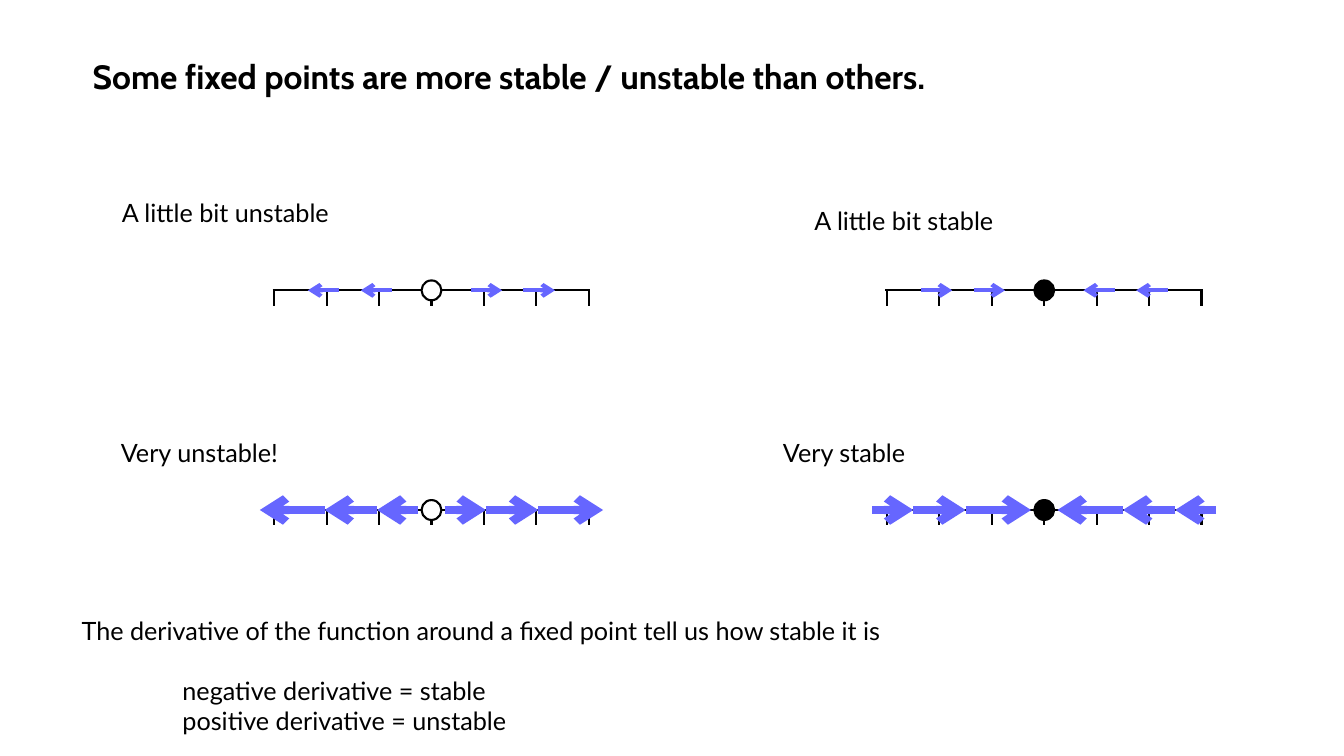
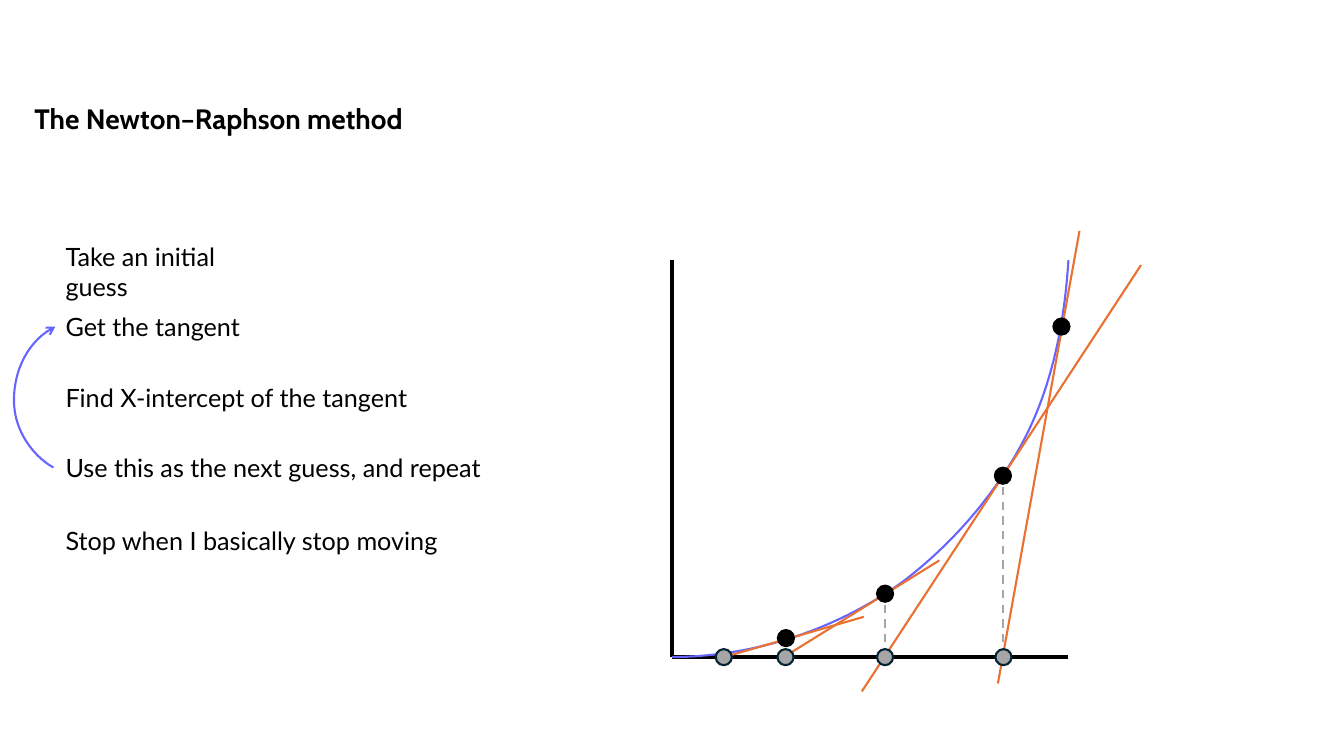
from lxml import etree
from pptx import Presentation
from pptx.dml.color import RGBColor
from pptx.enum.dml import MSO_LINE
from pptx.enum.shapes import MSO_CONNECTOR, MSO_SHAPE
from pptx.enum.text import MSO_ANCHOR, MSO_AUTO_SIZE, PP_ALIGN
from pptx.oxml.ns import qn
from pptx.util import Pt

STRAIGHT = MSO_CONNECTOR.STRAIGHT
OVAL = MSO_SHAPE.OVAL
DASH = MSO_LINE.DASH
TOP, BOTTOM = MSO_ANCHOR.TOP, MSO_ANCHOR.BOTTOM
LEFT = PP_ALIGN.LEFT
NO_AUTOFIT = MSO_AUTO_SIZE.NONE

HEX = {
    "black": "000000",
    "white": "FFFFFF",
    "blue": "6666FF",
    "orange": "E97132",
    "gray": "A6A6A6",
    "navy": "042433",
}
COLORS = {name: RGBColor.from_string(value) for name, value in HEX.items()}
TITLE_FONT, BODY_FONT, BODY_SIZE, LINE_HEIGHT = "Cabin", "Lato", 18, 21.6


def add_line(slide, start, end, color, width=1.5, dash=None, arrow=False):
    line = slide.shapes.add_connector(STRAIGHT, *(Pt(value) for value in (*start, *end)))
    line.line.color.rgb = COLORS[color]
    line.line.width = Pt(width)
    if dash:
        line.line.dash_style = dash
    properties = line.element.spPr
    if arrow:
        etree.SubElement(properties.find(qn("a:ln")), qn("a:tailEnd"), type="arrow")
    etree.SubElement(properties, qn("a:effectLst"))


def add_dot(slide, center, diameter, fill, outline):
    x, y = center
    dot = slide.shapes.add_shape(
        OVAL, Pt(x - diameter / 2), Pt(y - diameter / 2), Pt(diameter), Pt(diameter)
    )
    dot.shadow.inherit = False
    dot.fill.solid()
    dot.fill.fore_color.rgb = COLORS[fill]
    dot.line.color.rgb = COLORS[outline]
    dot.line.width = Pt(1.5)


presentation = Presentation()
presentation.slide_width = Pt(960)
presentation.slide_height = Pt(540)

# Each body row: text, indent, space before
CONTENT = [
    {
        "title": "Some fixed points are more stable / unstable than others.",
        "title_box": (66.2, 45.4, 828, 50.4),
        "title_size": 24,
        "title_spacing": 0.8,
        "title_anchor": TOP,
        "body_box": (51.1, 435.6, 821.5, 100),
        "body": [
            ("The derivative of the function around a fixed point tell us how stable it is", 0, 0),
            ("negative derivative = stable", 72, LINE_HEIGHT),
            ("positive derivative = unstable", 72, 0),
        ],
    },
    {
        "title": "The Newton–Raphson method",
        "title_box": (24.5, 13, 875.5, 83.5),
        "title_size": 20,
        "title_spacing": Pt(23),
        "title_anchor": BOTTOM,
        "body_box": (39.6, 168.5, 344, 240),
        "body": [
            ("Take an initial\vguess", 0, 0),
            ("Get the tangent", 0, 7.2),
            ("Find X-intercept of the tangent", 0, 28.8),
            ("Use this as the next guess, and repeat", 0, 28.8),
            ("Stop when I basically stop moving", 0, 30),
        ],
    },
]

slides = []
for content in CONTENT:
    slide = presentation.slides.add_slide(presentation.slide_layouts[1])
    slides.append(slide)
    title, body = slide.shapes.title, slide.placeholders[1]
    for shape, box in ((title, content["title_box"]), (body, content["body_box"])):
        shape.left, shape.top, shape.width, shape.height = (Pt(value) for value in box)
        shape.text_frame.auto_size = NO_AUTOFIT
        shape.text_frame.word_wrap = True

    frame = title.text_frame
    frame.margin_left = frame.margin_top = frame.margin_right = frame.margin_bottom = 0
    frame.vertical_anchor = content["title_anchor"]
    frame.text = content["title"]
    paragraph = frame.paragraphs[0]
    paragraph.alignment = LEFT
    paragraph.line_spacing = content["title_spacing"]
    paragraph.font.name = TITLE_FONT
    paragraph.font.size = Pt(content["title_size"])
    paragraph.font.bold = True
    paragraph.font.color.rgb = COLORS["black"]

    frame = body.text_frame
    frame.text = "\n".join(text for text, _, _ in content["body"])
    for paragraph, (_, indent, space) in zip(frame.paragraphs, content["body"]):
        paragraph.space_before = Pt(space)
        properties = paragraph._p.get_or_add_pPr()
        properties.set("marL", str(Pt(indent)))
        properties.set("indent", "0")
        etree.SubElement(properties, qn("a:buNone"))
        paragraph.font.name = BODY_FONT
        paragraph.font.size = Pt(BODY_SIZE)
        paragraph.font.color.rgb = COLORS["black"]

stability_slide, newton_slide = slides

TICK_GAP, TICK_LENGTH, AXIS_HALF = 37.44, 11, 113.4
UNSTABLE_X, STABLE_X = 308.2, 745.9
MILD_Y, STRONG_Y = 207.4, 364.3
MILD_SPANS = [(28, 50.5), (65.7, 88.3)]
STRONG_SPANS = [(9.4, 38.9), (38.9, 76.3), (76.3, 122.6)]
STRONG_INWARD_SPANS = [(56.2, 9.4), (93.5, 56.2), (122.8, 93.5)]
PANELS = [
    ("A little bit unstable", (79.9, 137.5), (UNSTABLE_X, MILD_Y), "white", MILD_SPANS, 3),
    ("Very unstable!", (79.2, 308.9), (UNSTABLE_X, STRONG_Y), "white", STRONG_SPANS, 6),
    ("A little bit stable", (574.6, 143.3), (STABLE_X, MILD_Y), "black",
     [(end, start) for start, end in MILD_SPANS], 3),
    ("Very stable", (552.2, 308.9), (STABLE_X, STRONG_Y), "black", STRONG_INWARD_SPANS, 6),
]
for text, (left, top), (x, y), fill, spans, width in PANELS:
    label = stability_slide.shapes.add_textbox(Pt(left), Pt(top), Pt(171.4), Pt(28.8))
    label.text_frame.word_wrap = True
    label.text_frame.text = text
    paragraph = label.text_frame.paragraphs[0]
    paragraph.font.name = BODY_FONT
    paragraph.font.size = Pt(BODY_SIZE)
    paragraph.font.color.rgb = COLORS["black"]

    add_line(stability_slide, (x - AXIS_HALF, y), (x + AXIS_HALF, y), "black")
    for step in range(-3, 4):
        tick_x = x + step * TICK_GAP
        add_line(stability_slide, (tick_x, y), (tick_x, y + TICK_LENGTH), "black")
    for side in (-1, 1):
        for start, end in spans:
            add_line(stability_slide, (x + side * start, y), (x + side * end, y),
                     "blue", width, arrow=True)
    add_dot(stability_slide, (x, y), 14.2, fill, "black")

ORIGIN_X, AXIS_Y = 480.2, 469.4
PLOT_TOP, PLOT_RIGHT = 185.8, 763.2
add_line(newton_slide, (ORIGIN_X, PLOT_TOP), (ORIGIN_X, AXIS_Y), "black", 3)
add_line(newton_slide, (PLOT_RIGHT, AXIS_Y), (ORIGIN_X, AXIS_Y), "black", 3)

FUNCTION_CURVE = [
    (ORIGIN_X, AXIS_Y),
    (549.4, 468.7), (605.5, 443.5), (643, 416.9),
    (679.7, 389.5), (710.6, 353.5), (730.8, 315.4),
    (751, 277.2), (760.3, 232.6), (PLOT_RIGHT, PLOT_TOP),
]
REPEAT_ARROW = [
    (38.2, 334),
    (24, 326), (10, 308), (10, 286),
    (10, 262), (22, 242), (39.6, 233.3),
]
SAMPLES = 24
for knots, arrow in ((FUNCTION_CURVE, False), (REPEAT_ARROW, True)):
    points = []
    for first in range(0, len(knots) - 1, 3):
        controls = knots[first:first + 4]
        for sample in range(1, SAMPLES + 1):
            t = sample / SAMPLES
            weights = ((1 - t) ** 3, 3 * t * (1 - t) ** 2, 3 * t**2 * (1 - t), t**3)
            points.append(tuple(
                Pt(sum(weight * control[axis] for weight, control in zip(weights, controls)))
                for axis in (0, 1)
            ))
    builder = newton_slide.shapes.build_freeform(Pt(knots[0][0]), Pt(knots[0][1]))
    builder.add_line_segments(points, close=False)
    curve = builder.convert_to_shape()
    curve.shadow.inherit = False
    curve.fill.background()
    curve.line.color.rgb = COLORS["blue"]
    curve.line.width = Pt(1.5)
    if arrow:
        etree.SubElement(curve.element.spPr.find(qn("a:ln")), qn("a:tailEnd"), type="arrow")

GUESSES = [(758.2, 233.3), (716.4, 339.8), (632.2, 424.1), (561.4, 455.8)]
INTERCEPTS = [716.8, 632.2, 561.1, 517]
TANGENTS = [
    ((771.1, 164.9), (712.8, 488.2)),
    ((815, 189.4), (615.6, 493.9)),
    ((671, 400.3), (560.9, 468.7)),
    ((617, 440.6), (517, AXIS_Y)),
]
for start, end in TANGENTS:
    add_line(newton_slide, start, end, "orange")
for x, y in GUESSES[1:]:
    add_line(newton_slide, (x, AXIS_Y), (x, y), "gray", dash=DASH)
for guess, intercept in zip(GUESSES, INTERCEPTS):
    add_dot(newton_slide, guess, 11.5, "black", "black")
    add_dot(newton_slide, (intercept, AXIS_Y), 11.5, "gray", "navy")

presentation.save("out.pptx")
